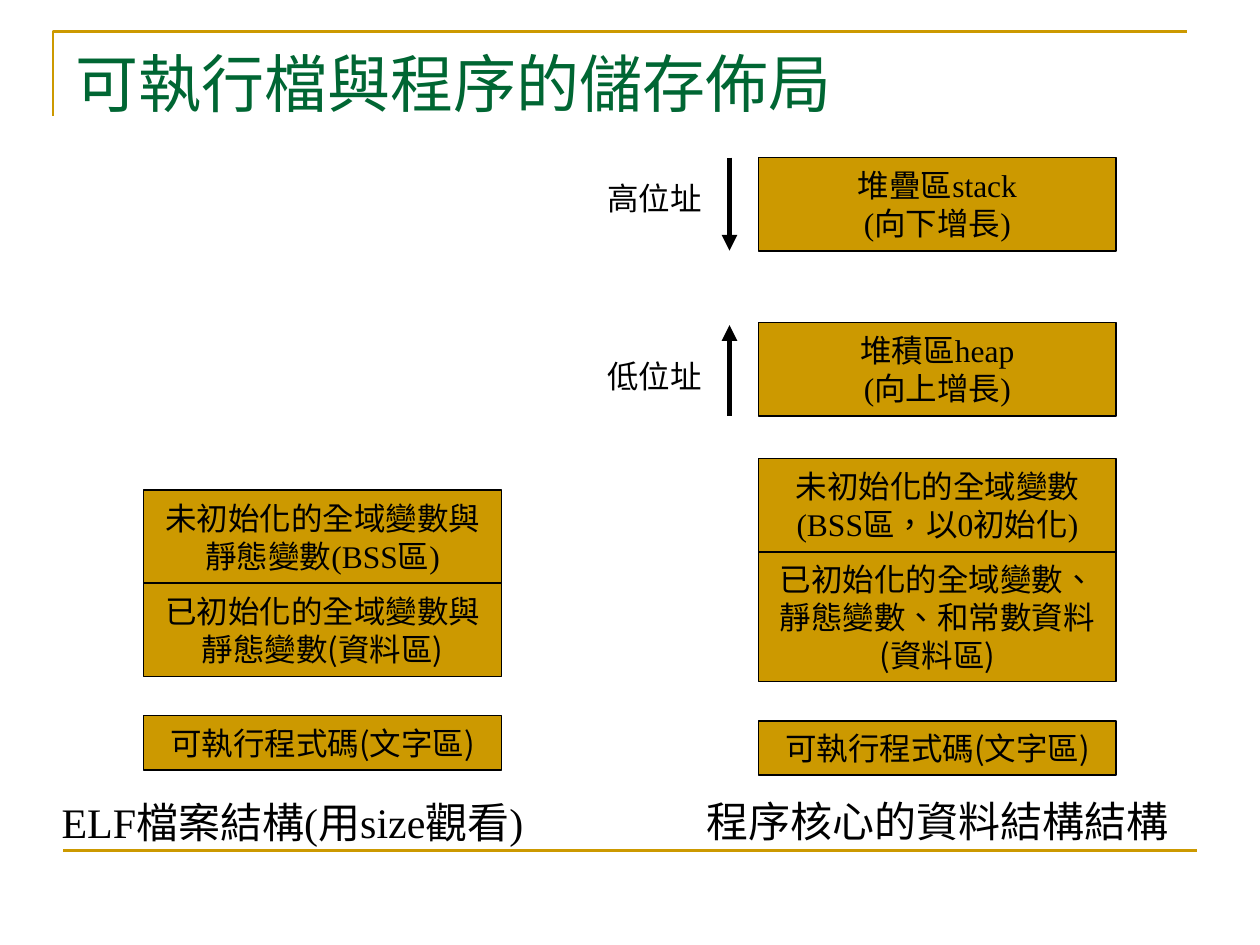
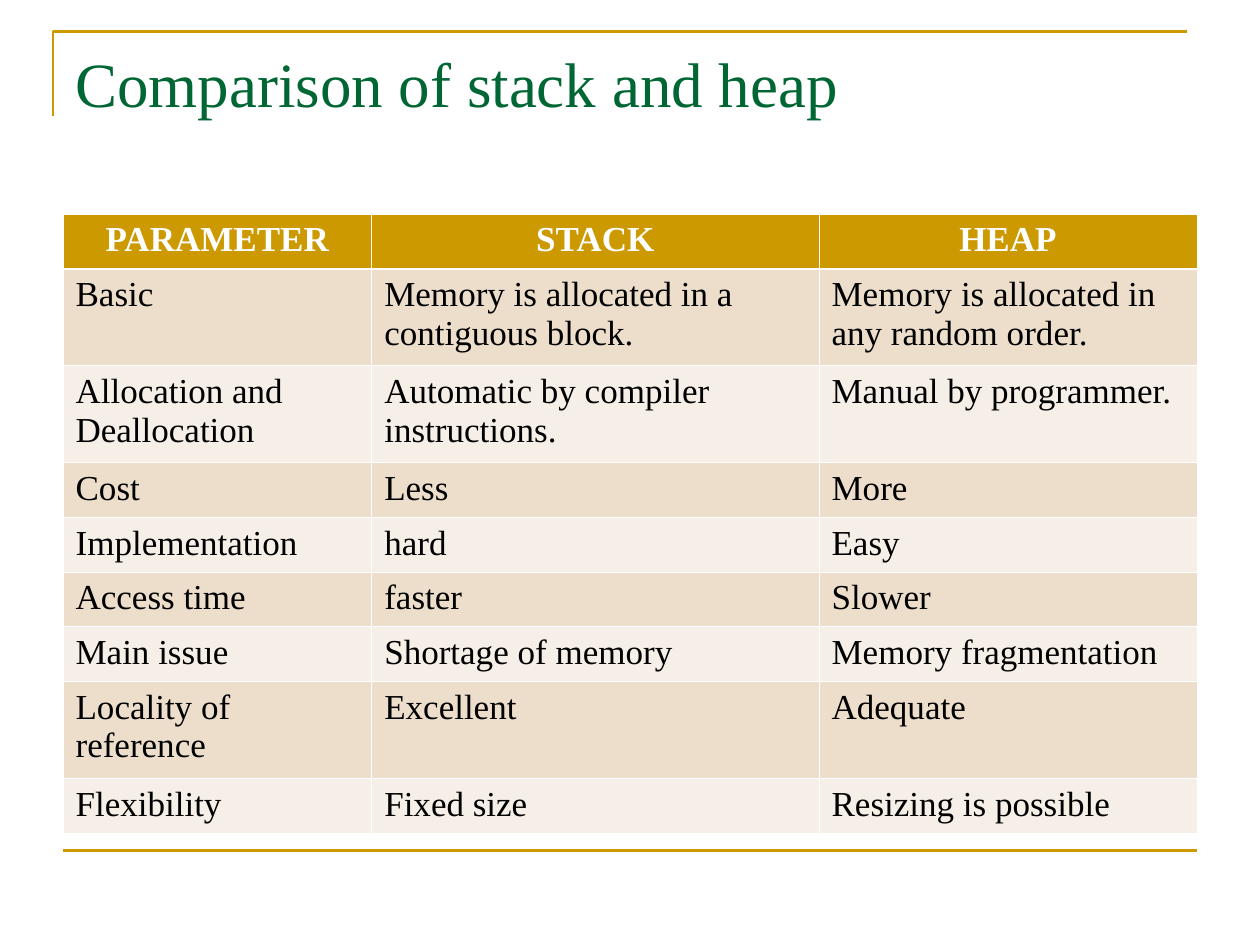
from lxml import etree
from pptx import Presentation
from pptx.dml.color import RGBColor
from pptx.enum.shapes import MSO_CONNECTOR, MSO_SHAPE
from pptx.enum.text import MSO_ANCHOR, PP_ALIGN
from pptx.oxml.ns import qn
from pptx.util import Inches, Pt

LEFT, CENTER = PP_ALIGN.LEFT, PP_ALIGN.CENTER
TOP, MIDDLE = MSO_ANCHOR.TOP, MSO_ANCHOR.MIDDLE
RECT, STRAIGHT = MSO_SHAPE.RECTANGLE, MSO_CONNECTOR.STRAIGHT
SERIF, SANS = "Times New Roman", "Noto Sans CJK SC"
COLORS = {
    "gold": "CC9900", "green": "006633", "black": "000000",
    "white": "FFFFFF", "tan": "ECDECB", "cream": "F6EFE7",
}
RGB = {name: RGBColor.from_string(code) for name, code in COLORS.items()}


def write(frame, text, size, font=SERIF, color="black", align=LEFT, bold=False, pitch=None):
    """Fill a text frame and format its runs; pitch is the line height in points."""
    frame.text = text
    for para in frame.paragraphs:
        para.alignment = align
        if pitch:
            para.line_spacing = Pt(pitch)
        for run in para.runs:
            run.font.size = Pt(size)
            run.font.name = font
            run.font.bold = bold
            run.font.color.rgb = RGB[color]
            if not text.isascii():
                props = run.font._element
                props.set("lang", "zh-TW")
                etree.SubElement(props, qn("a:ea")).set("typeface", SANS)


def draw_line(slide, start, end, color, width, arrow=False):
    line = slide.shapes.add_connector(STRAIGHT, *map(Inches, start + end))
    line.line.color.rgb = RGB[color]
    line.line.width = Pt(width)
    if arrow:
        etree.SubElement(line.line._get_or_add_ln(), qn("a:tailEnd")).set("type", "triangle")
    etree.SubElement(line._element.spPr, qn("a:effectLst"))


deck = Presentation()
deck.slide_width, deck.slide_height = Inches(10), Inches(7.5)

# Shared corner rule, bottom rule and title
slides = []
for title in ["可執行檔與程序的儲存佈局", "Comparison of stack and heap"]:
    slide = deck.slides.add_slide(deck.slide_layouts[6])
    pen = slide.shapes.build_freeform(Inches(0.42), Inches(0.92))
    pen.add_line_segments(
        [(Inches(0.42), Inches(0.25)), (Inches(9.42), Inches(0.25))], close=False)
    corner = pen.convert_to_shape()
    corner.shadow.inherit = False
    corner.fill.background()
    corner.line.color.rgb = RGB["gold"]
    corner.line.width = Pt(1.5)
    draw_line(slide, (0.5, 6.75), (9.5, 6.75), "gold", 1.5)
    box = slide.shapes.add_textbox(Inches(0.5), Inches(0.3), Inches(9), Inches(1.25))
    box.text_frame.word_wrap = True
    box.text_frame.vertical_anchor = TOP
    write(box.text_frame, title, 36, color="green")
    slides.append(slide)
layout, compare = slides

# Memory areas: left, top, height, font, text
FILE, PROC = 1.14, 6.02
areas = [
    (FILE, 5.68, 0.43, SANS, "可執行程式碼(文字區)"),
    (FILE, 4.63, 0.74, SANS, "已初始化的全域變數與靜態變數(資料區)"),
    (FILE, 3.89, 0.74, SERIF, "未初始化的全域變數與靜態變數(BSS區)"),
    (PROC, 5.72, 0.43, SANS, "可執行程式碼(文字區)"),
    (PROC, 4.38, 1.03, SANS, "已初始化的全域變數、靜態變數、和常數資料(資料區)"),
    (PROC, 3.64, 0.74, SERIF, "未初始化的全域變數 (BSS區，以0初始化)"),
    (PROC, 2.56, 0.74, SERIF, "堆積區heap\n(向上增長)"),
    (PROC, 1.25, 0.74, SERIF, "堆疊區stack\n(向下增長)"),
]
for left, top, height, font, text in areas:
    area = layout.shapes.add_shape(
        RECT, Inches(left), Inches(top), Inches(2.84), Inches(height))
    area.shadow.inherit = False
    area.fill.solid()
    area.fill.fore_color.rgb = RGB["gold"]
    area.line.color.rgb = RGB["black"]
    area.line.width = Pt(1)
    area.text_frame.word_wrap = True
    area.text_frame.vertical_anchor = MIDDLE
    write(area.text_frame, text, 18, font, align=CENTER, pitch=21.7)

# Captions and address labels: left, top, width, height, size, font, text
labels = [
    (0.39, 6.27, 4.34, 0.5, 24, SERIF, "ELF檔案結構(用size觀看)"),
    (5.51, 6.26, 3.86, 0.5, 24, SERIF, "程序核心的資料結構結構"),
    (4.72, 1.37, 0.95, 0.4, 18, SANS, "高位址"),
    (4.72, 2.78, 0.95, 0.4, 18, SANS, "低位址"),
]
for *place, size, font, text in labels:
    label = layout.shapes.add_textbox(*map(Inches, place))
    label.text_frame.word_wrap = False
    label.text_frame.margin_right = 0
    label.text_frame.vertical_anchor = MIDDLE
    write(label.text_frame, text, size, font)

# Directions of growth
for start, end in [(1.25, 1.99), (3.3, 2.58)]:
    draw_line(layout, (5.79, start), (5.79, end), "black", 3, arrow=True)

# Comparison table
rows = [
    ("PARAMETER", "STACK", "HEAP"),
    ("Basic", "Memory is allocated in a contiguous block.",
     "Memory is allocated in any random order."),
    ("Allocation and Deallocation", "Automatic by compiler instructions.",
     "Manual by programmer."),
    ("Cost", "Less", "More"),
    ("Implementation", "hard", "Easy"),
    ("Access time", "faster", "Slower"),
    ("Main issue", "Shortage of memory", "Memory fragmentation"),
    ("Locality of reference", "Excellent", "Adequate"),
    ("Flexibility", "Fixed size", "Resizing is possible"),
]
TALL = (1, 2, 7)
table = compare.shapes.add_table(
    len(rows), 3, Inches(0.5), Inches(1.7), Inches(9), Inches(4.9)).table
for col, width in zip(table.columns, (2.45, 3.55, 3)):
    col.width = Inches(width)
for i, row in enumerate(rows):
    table.rows[i].height = Inches(0.77 if i in TALL else 0.43)
    head = i == 0
    fill = "gold" if head else "tan" if i % 2 else "cream"
    for j, text in enumerate(row):
        cell = table.cell(i, j)
        write(cell.text_frame, text, 20, color="white" if head else "black",
              align=CENTER if head else LEFT, bold=head)
        props = cell._tc.get_or_add_tcPr()
        for side in ("lnL", "lnR", "lnT", "lnB"):
            thick = (i, side) in [(0, "lnB"), (1, "lnT")]
            edge = etree.SubElement(props, qn("a:" + side))
            edge.set("w", str(Pt(1.47 if thick else 0.45)))
            paint = etree.SubElement(edge, qn("a:solidFill"))
            etree.SubElement(paint, qn("a:srgbClr")).set("val", COLORS["white"])
        cell.fill.solid()
        cell.fill.fore_color.rgb = RGB[fill]

deck.save("out.pptx")
